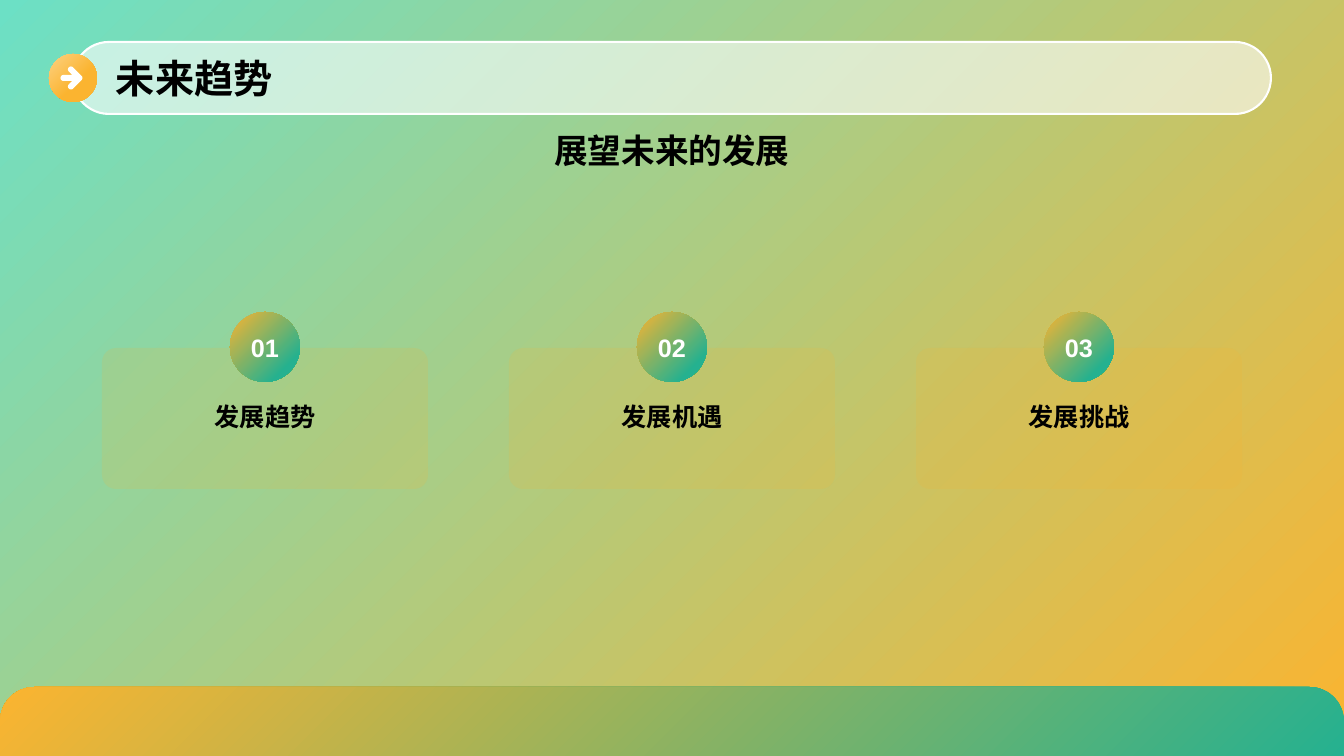
from math import cos, radians, sin

from lxml import etree
from pptx import Presentation
from pptx.dml.color import RGBColor
from pptx.enum.shapes import MSO_SHAPE
from pptx.enum.text import MSO_ANCHOR, PP_ALIGN
from pptx.oxml.ns import qn
from pptx.util import Pt

ROUND = MSO_SHAPE.ROUNDED_RECTANGLE
TOPS = MSO_SHAPE.ROUND_2_SAME_RECTANGLE
OVAL = MSO_SHAPE.OVAL
LEFT, CENTER = PP_ALIGN.LEFT, PP_ALIGN.CENTER
TOP, MIDDLE = MSO_ANCHOR.TOP, MSO_ANCHOR.MIDDLE

WIDTH, HEIGHT = 1344, 756
SCALE = 12192000 / WIDTH
COLORS = {"mint": "6CE0C5", "gold": "FBB430", "pale": "FDD283",
          "green": "25B190", "white": "FFFFFF", "black": "000000"}
CJK, LATIN = "Noto Sans CJK SC", "Arial"


def px(num):
    return round(num * SCALE)


def rgb(name):
    return RGBColor.from_string(COLORS[name])


def arc(x, y, size, start, end):
    """Points on a circle, clockwise, every 15 degrees."""
    return [(x + size * cos(radians(a)), y + size * sin(radians(a)))
            for a in range(start, end + 1, 15)]


class Deck:
    def __init__(self):
        self.prs = Presentation()
        self.prs.slide_width, self.prs.slide_height = px(WIDTH), px(HEIGHT)
        self.slide = self.prs.slides.add_slide(self.prs.slide_layouts[6])
        self.shapes = self.slide.shapes

    def blend(self, fill, stops, angle):
        """Two-stop gradient; angle runs clockwise."""
        fill.gradient()
        fill.gradient_angle = 360 - angle
        for stop, (name, place) in zip(fill.gradient_stops, stops):
            stop.color.rgb = rgb(name)
            stop.position = place

    def paint(self, shape, color, alpha=100):
        shape.shadow.inherit = False
        shape.line.fill.background()
        shape.fill.solid()
        shape.fill.fore_color.rgb = rgb(color)
        if alpha < 100:
            tint = shape.element.spPr.find(".//" + qn("a:srgbClr"))
            etree.SubElement(tint, qn("a:alpha"), val=str(alpha * 1000))

    def shape(self, kind, box, color="white", alpha=100, adj=(), stops=None, angle=45):
        item = self.shapes.add_shape(kind, *map(px, box))
        for i, value in enumerate(adj):
            item.adjustments[i] = value
        self.paint(item, color, alpha)
        if stops:
            self.blend(item.fill, stops, angle)
        return item

    def outline(self, points, color):
        spots = [(round(x * 100), round(y * 100)) for x, y in points]
        form = self.shapes.build_freeform(*spots[0], scale=SCALE / 100)
        form.add_line_segments(spots[1:], close=True)
        self.paint(form.convert_to_shape(), color)

    def letter(self, item, words, size, font=CJK, color="black",
               align=CENTER, anchor=TOP, wrap=True):
        frame = item.text_frame
        frame.word_wrap, frame.vertical_anchor = wrap, anchor
        para = frame.paragraphs[0]
        para.alignment = align
        run = para.add_run()
        run.text = words
        run.font.color.rgb = rgb(color)
        for key, value in {"name": font, "size": Pt(size), "bold": True}.items():
            setattr(run.font, key, value)
        etree.SubElement(run._r.get_or_add_rPr(), qn("a:ea"), typeface=font)

    def text(self, box, words, size, **style):
        self.letter(self.shapes.add_textbox(*map(px, box)), words, size, **style)


def main():
    deck = Deck()
    deck.blend(deck.slide.background.fill, [("mint", 0), ("gold", 1)], 45)

    # Title bar with its round marker
    bar = deck.shape(ROUND, (73, 42, 1198, 72), alpha=60, adj=[0.5])
    bar.line.color.rgb = rgb("white")
    bar.line.width = Pt(1.5)
    deck.shape(OVAL, (49, 54, 48, 48), stops=[("pale", 0), ("gold", 0.6)])

    # Arrow: upper half, then its mirror below the axis
    axis = 78
    upper = (arc(63.5, axis, 3, 180, 270) + [(72.3, axis - 3)]
             + arc(71, axis - 8.5, 3, 135, 315) + arc(79.5, axis, 3, 315, 360))
    lower = [(x, 2 * axis - y) for x, y in reversed(upper[1:-1])]
    deck.outline(upper + lower, "white")

    # Footer band and subtitle
    deck.shape(TOPS, (0, 687, WIDTH, 69), adj=[0.5, 0],
               stops=[("green", 0), ("gold", 1)], angle=225)
    deck.text((73, 125, 1198, 55), "展望未来的发展", 24)

    # Numbered cards
    for i, label in enumerate(["发展趋势", "发展机遇", "发展挑战"]):
        x = 102 + 407 * i
        deck.shape(ROUND, (x, 348, 326, 141), "gold", 15, [0.1])
        badge = deck.shape(OVAL, (x + 128, 312, 70, 70),
                           stops=[("gold", 0), ("green", 0.8)])
        deck.letter(badge, f"{i + 1:02}", 18, LATIN, "white", anchor=MIDDLE, wrap=False)
        deck.text((x + 15, 396, 296, 79), label, 18)

    # Title
    deck.text((106, 46, 1143, 64), "未来趋势", 28, align=LEFT, anchor=MIDDLE)

    deck.prs.save("out.pptx")


if __name__ == "__main__":
    main()
